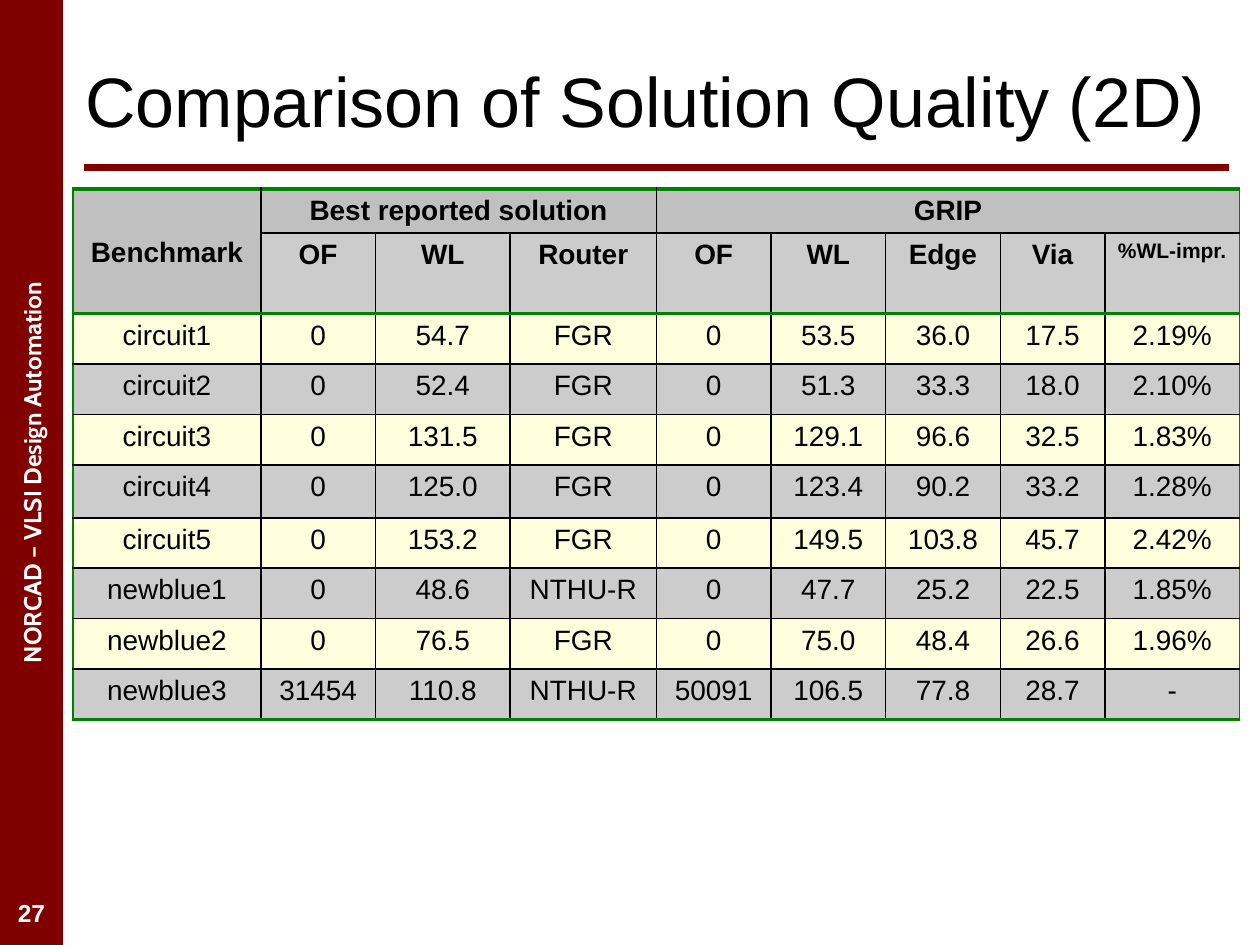
from lxml import etree
from pptx import Presentation
from pptx.dml.color import RGBColor
from pptx.enum.shapes import MSO_CONNECTOR, MSO_SHAPE
from pptx.enum.text import MSO_ANCHOR, PP_ALIGN
from pptx.oxml.ns import qn
from pptx.util import Inches, Pt

LEFT, CENTER = PP_ALIGN.LEFT, PP_ALIGN.CENTER
TOP, MIDDLE = MSO_ANCHOR.TOP, MSO_ANCHOR.MIDDLE
RECT, LINE = MSO_SHAPE.RECTANGLE, MSO_CONNECTOR.STRAIGHT
HEX = {"red": "800000", "green": "008000", "black": "000000", "white": "FFFFFF",
       "head": "C0C0C0", "gray": "CCCCCC", "cream": "FFFFDD"}
RGB = {name: RGBColor.from_string(code) for name, code in HEX.items()}


def write(frame, text, size=16, bold=False, color="black", font="Arial", align=CENTER):
    para = frame.paragraphs[0]
    para.alignment = align
    run = para.add_run()
    run.text = text
    run.font.size = Pt(size)
    run.font.bold = bold
    run.font.name = font
    run.font.color.rgb = RGB[color]


def edge(cell, side, color, width):
    """Draw one border of a cell; side is L, R, T or B, in that order."""
    props = cell._tc.get_or_add_tcPr()
    line = etree.SubElement(props, qn("a:ln" + side), w=str(Pt(width)))
    fill = etree.SubElement(line, qn("a:solidFill"))
    etree.SubElement(fill, qn("a:srgbClr"), val=HEX[color])


deck = Presentation()
deck.slide_width, deck.slide_height = Inches(10), Inches(7.5)
slide = deck.slides.add_slide(deck.slide_layouts[6])
shapes = slide.shapes

# Side band, turned to read upwards
band = shapes.add_shape(RECT, Inches(-3.5), Inches(3.5), Inches(7.5), Inches(0.5))
band.rotation = 270
band.shadow.inherit = False
band.fill.solid()
band.fill.fore_color.rgb = RGB["red"]
band.line.fill.background()
band.text_frame.word_wrap = False
band.text_frame.vertical_anchor = MIDDLE
write(band.text_frame, "NORCAD – VLSI Design Automation",
      size=14, bold=True, color="white", font="Cabin")

# Rule under the title
rule = shapes.add_connector(LINE, Inches(0.67), Inches(1.33), Inches(9.75), Inches(1.33))
rule.line.color.rgb = RGB["red"]
rule.line.width = Pt(4)
etree.SubElement(rule._element.spPr, qn("a:effectLst"))

# Page number and title
page = shapes.add_textbox(Inches(0), Inches(7.08), Inches(0.5), Inches(0.33)).text_frame
page.word_wrap = True
write(page, "27", size=14, bold=True, color="white")

title = shapes.add_textbox(Inches(0.58), Inches(0.25), Inches(9.17), Inches(1.08)).text_frame
title.word_wrap = True
title.vertical_anchor = MIDDLE
write(title, "Comparison of Solution Quality (2D)", size=40, align=LEFT)

# Results table
rows = [
    ["Benchmark", "Best reported solution", "", "", "GRIP", "", "", "", ""],
    ["", "OF", "WL", "Router", "OF", "WL", "Edge", "Via", "%WL-impr."],
    ["circuit1", "0", "54.7", "FGR", "0", "53.5", "36.0", "17.5", "2.19%"],
    ["circuit2", "0", "52.4", "FGR", "0", "51.3", "33.3", "18.0", "2.10%"],
    ["circuit3", "0", "131.5", "FGR", "0", "129.1", "96.6", "32.5", "1.83%"],
    ["circuit4", "0", "125.0", "FGR", "0", "123.4", "90.2", "33.2", "1.28%"],
    ["circuit5", "0", "153.2", "FGR", "0", "149.5", "103.8", "45.7", "2.42%"],
    ["newblue1", "0", "48.6", "NTHU-R", "0", "47.7", "25.2", "22.5", "1.85%"],
    ["newblue2", "0", "76.5", "FGR", "0", "75.0", "48.4", "26.6", "1.96%"],
    ["newblue3", "31454", "110.8", "NTHU-R", "50091", "106.5", "77.8", "28.7", "-"],
]
widths = [1.49, 0.91, 1.07, 1.16, 0.91, 0.91, 0.91, 0.83, 1.07]
heights = [0.35, 0.64, 0.4, 0.4, 0.4, 0.42, 0.4, 0.4, 0.4, 0.4]
table = shapes.add_table(len(rows), len(widths), Inches(0.58), Inches(1.5),
                         Inches(sum(widths)), Inches(sum(heights))).table
table.first_row = table.horz_banding = False
for col, width in zip(table.columns, widths):
    col.width = Inches(width)
for row, height in zip(table.rows, heights):
    row.height = Inches(height)
for first, last in [((0, 0), (1, 0)), ((0, 1), (0, 3)), ((0, 4), (0, 8))]:
    table.cell(*first).merge(table.cell(*last))

thick = (0, 2, len(rows))
outer = (0, len(widths))
for r, row in enumerate(rows):
    for c, text in enumerate(row):
        cell = table.cell(r, c)
        cell.margin_bottom = Inches(0.03)
        if cell.is_spanned:
            continue
        right, below = c + 1, r + 1
        if cell.is_merge_origin:
            right, below = c + cell.span_width, r + cell.span_height
        for side, x in (("L", c), ("R", right)):
            edge(cell, side, "green" if x in outer else "black", 1)
        for side, y in (("T", r), ("B", below)):
            edge(cell, side, *(("green", 2.25) if y in thick else ("black", 1)))
        if r == 0:
            shade = "head"
        else:
            shade = "gray" if r % 2 else "cream"
        cell.fill.solid()
        cell.fill.fore_color.rgb = RGB[shade]
        cell.vertical_anchor = MIDDLE if below - r > 1 else TOP
        write(cell.text_frame, text, size=12 if text == "%WL-impr." else 16, bold=r < 2)

deck.save("out.pptx")
